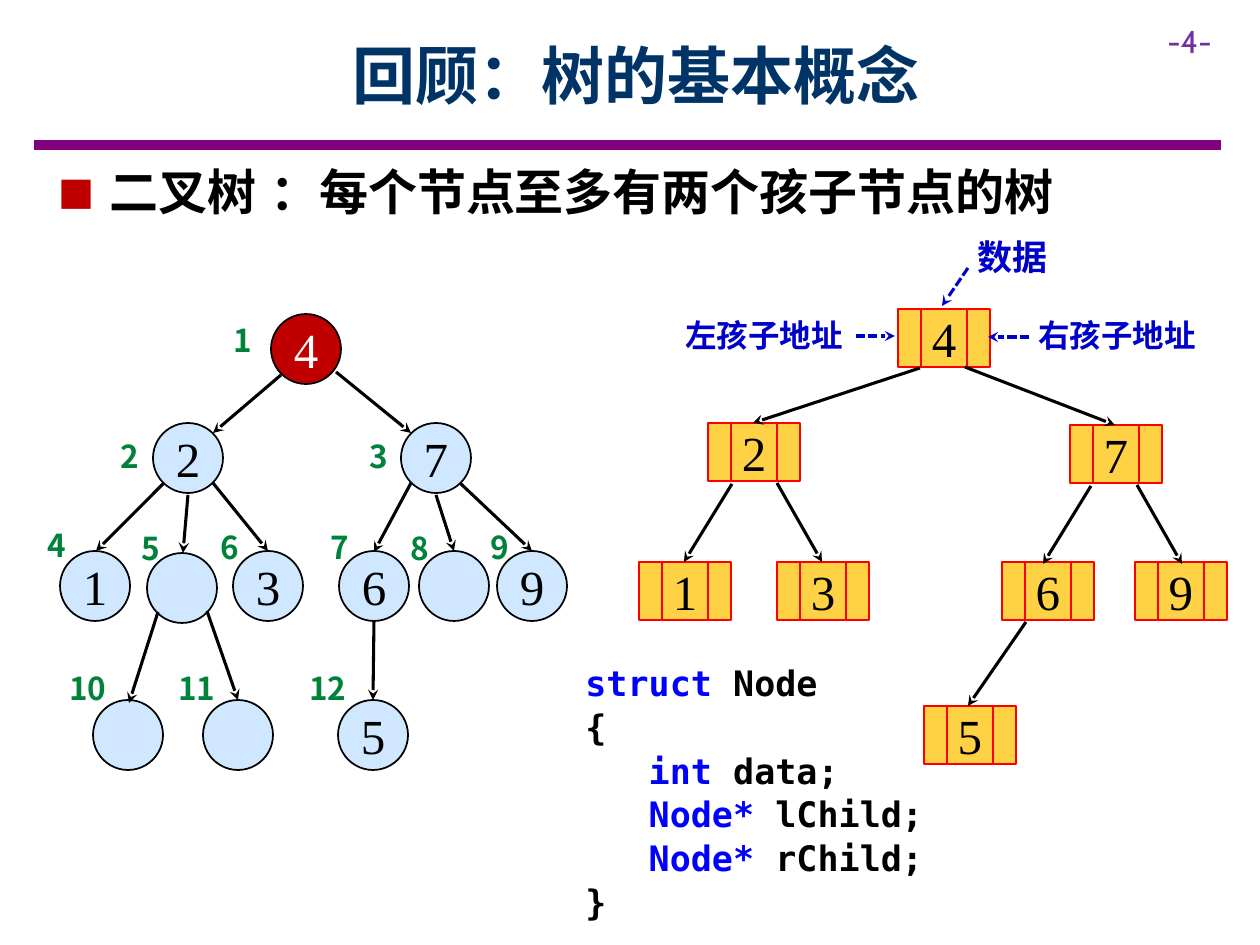
from lxml import etree
from pptx import Presentation
from pptx import util as u
from pptx.dml.color import RGBColor
from pptx.enum import dml, shapes, text
from pptx.oxml.ns import qn

PX = 7257
SANS, MONO, SERIF = "Noto Sans CJK SC", "DejaVu Sans Mono", "Times New Roman"
BLACK, BLUE, KEYWORD, GREEN = "000000", "0000CC", "0000FF", "00823B"
color = RGBColor.from_string

presentation = Presentation()
presentation.slide_width = 1260 * PX
presentation.slide_height = 945 * PX
slide = presentation.slides.add_slide(presentation.slide_layouts[6])


def add_line(x1, y1, x2, y2, line_color=BLACK, width=1.75, dashed=False, arrow=True):
    connector = slide.shapes.add_connector(
        shapes.MSO_CONNECTOR.STRAIGHT, x1 * PX, y1 * PX, x2 * PX, y2 * PX)
    connector.line.color.rgb = color(line_color)
    connector.line.width = u.Pt(width)
    if dashed:
        connector.line.dash_style = dml.MSO_LINE.SQUARE_DOT
    if arrow:
        etree.SubElement(connector.line._get_or_add_ln(), qn("a:tailEnd"), type="stealth")
    etree.SubElement(connector._element.spPr, qn("a:effectLst"))


def add_text(box, words, size, text_color, font=SANS, bold=True, bullet=False):
    shape = slide.shapes.add_textbox(*(length * PX for length in box))
    shape.text_frame.word_wrap = True
    shape.text_frame.text = words
    for paragraph in shape.text_frame.paragraphs:
        if bullet:
            properties = paragraph._p.get_or_add_pPr()
            properties.set("marL", str(48 * PX))
            properties.set("indent", str(-48 * PX))
            bullet_color = etree.SubElement(properties, qn("a:buClr"))
            etree.SubElement(bullet_color, qn("a:srgbClr"), val="C00000")
            etree.SubElement(properties, qn("a:buFont"), typeface=MONO)
            etree.SubElement(properties, qn("a:buChar"), char="■")
        paragraph.font.size = u.Pt(size)
        paragraph.font.bold = bold
        paragraph.font.color.rgb = color(text_color)
        paragraph.font.name = font
        etree.SubElement(paragraph._p.pPr.find(qn("a:defRPr")), qn("a:ea"), typeface=font)
    return shape.text_frame


add_line(34, 145, 1221, 145, "800080", 6, arrow=False)
add_text((1155, 16, 105, 50), "-4-", 18, "7030A0", "Cabin", False)
title = add_text((113, 11, 1047, 126), "回顾：树的基本概念", 36, "003366")
title.vertical_anchor = text.MSO_ANCHOR.MIDDLE
title.paragraphs[0].alignment = text.PP_ALIGN.CENTER
add_text((49, 155, 232, 72), "二叉树", 28, BLACK, bullet=True)
add_text((258, 155, 937, 72), "：每个节点至多有两个孩子节点的树", 28, BLACK)

tree_nodes = [
    (271, 314, "4"), (153, 423, "2"), (401, 423, "7"),
    (60, 551, "1"), (147, 553, ""), (233, 551, "3"),
    (339, 551, "6"), (419, 551, ""), (497, 551, "9"),
    (93, 700, ""), (203, 700, ""), (338, 700, "5"),
]
records = [
    (898, 309, "4"), (708, 423, "2"), (1070, 425, "7"), (639, 562, "1"),
    (777, 562, "3"), (1002, 562, "6"), (1135, 562, "9"), (924, 706, "5"),
]

parts = []
for index, (left, top, value) in enumerate(tree_nodes):
    fill, opacity, value_color = ("99CCFF", 47, BLACK) if index else ("C00000", 100, "FFFFFF")
    parts.append((slide.shapes, shapes.MSO_SHAPE.OVAL, (left, top, 70, 70),
                  fill, opacity, BLACK, 1, value, value_color))
for left, top, value in records:
    record = slide.shapes.add_group_shape()
    for offset, width, content in [(23, 46, value), (69, 23, ""), (0, 23, "")]:
        parts.append((record.shapes, shapes.MSO_SHAPE.RECTANGLE, (left + offset, top, width, 58),
                      "FFC000", 73, "FF0000", 1.5, content, BLACK))

for parent, kind, box, fill, opacity, outline, width, value, value_color in parts:
    shape = parent.add_shape(kind, *(length * PX for length in box))
    shape.shadow.inherit = False
    shape.fill.solid()
    shape.fill.fore_color.rgb = color(fill)
    fill_color = shape._element.spPr.find(qn("a:solidFill"))[0]
    etree.SubElement(fill_color, qn("a:alpha"), val=str(opacity * 1000))
    shape.line.color.rgb = color(outline)
    shape.line.width = u.Pt(width)
    if value:
        frame = shape.text_frame
        frame.margin_left = frame.margin_right = frame.margin_top = frame.margin_bottom = 0
        frame.word_wrap = False
        frame.vertical_anchor = text.MSO_ANCHOR.MIDDLE
        frame.text = value
        paragraph = frame.paragraphs[0]
        paragraph.alignment = text.PP_ALIGN.CENTER
        paragraph.font.size = u.Pt(28)
        paragraph.font.name = SERIF
        paragraph.font.color.rgb = color(value_color)

tree_edges = [
    (281, 375, 213, 433), (336, 372, 411, 433),
    (164, 483, 96, 551), (188, 495, 183, 553), (213, 483, 268, 551),
    (460, 483, 532, 551), (411, 483, 374, 552), (436, 495, 454, 551),
    (158, 612, 129, 703), (207, 611, 238, 700), (374, 621, 373, 700),
]
record_edges = [
    (965, 367, 1115, 425), (920, 368, 753, 423),
    (777, 483, 822, 562), (732, 484, 684, 562),
    (1137, 485, 1182, 564), (1091, 486, 1043, 564), (1026, 622, 968, 706),
]
for edge in tree_edges + record_edges:
    add_line(*edge)
for pointer in [(968, 268, 942, 306), (1029, 337, 988, 337), (856, 336, 895, 336)]:
    add_line(*pointer, BLUE, dashed=True)

numbers = [
    (221, 315), (108, 431), (357, 431), (35, 520), (129, 523), (208, 522),
    (318, 522), (398, 523), (478, 522), (57, 663), (166, 663), (297, 663),
]
for number, (left, top) in enumerate(numbers, 1):
    add_text((left, top, 45 if number < 10 else 70, 50), str(number), 18, GREEN)

add_text((965, 229, 108, 55), "数据", 20, BLUE)
add_text((1026, 310, 207, 50), "右孩子地址", 18, BLUE)
add_text((673, 310, 207, 50), "左孩子地址", 18, BLUE)

code_lines = [
    ("struct", " Node"), ("", "{"), ("   int", " data;"),
    ("   Node*", " lChild;"), ("   Node*", " rChild;"), ("", "}"),
]
code = add_text((573, 654, 365, 267), "\n".join(rest for keyword, rest in code_lines),
                20, BLACK, MONO)
for paragraph, (keyword, rest) in zip(code.paragraphs, code_lines):
    paragraph.line_spacing = 1.04
    if keyword:
        run = paragraph.runs[0]
        run.text = keyword
        run.font.color.rgb = color(KEYWORD)
        paragraph.add_run().text = rest

presentation.save("out.pptx")
